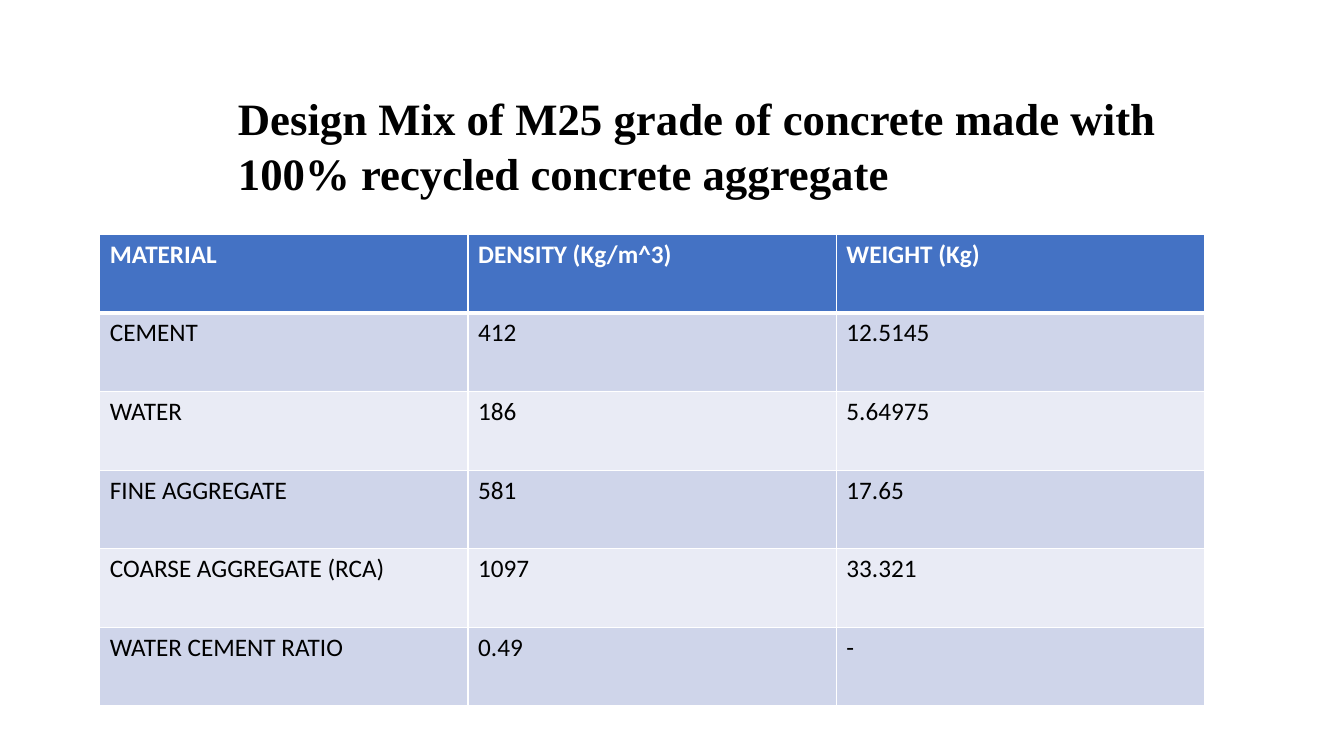
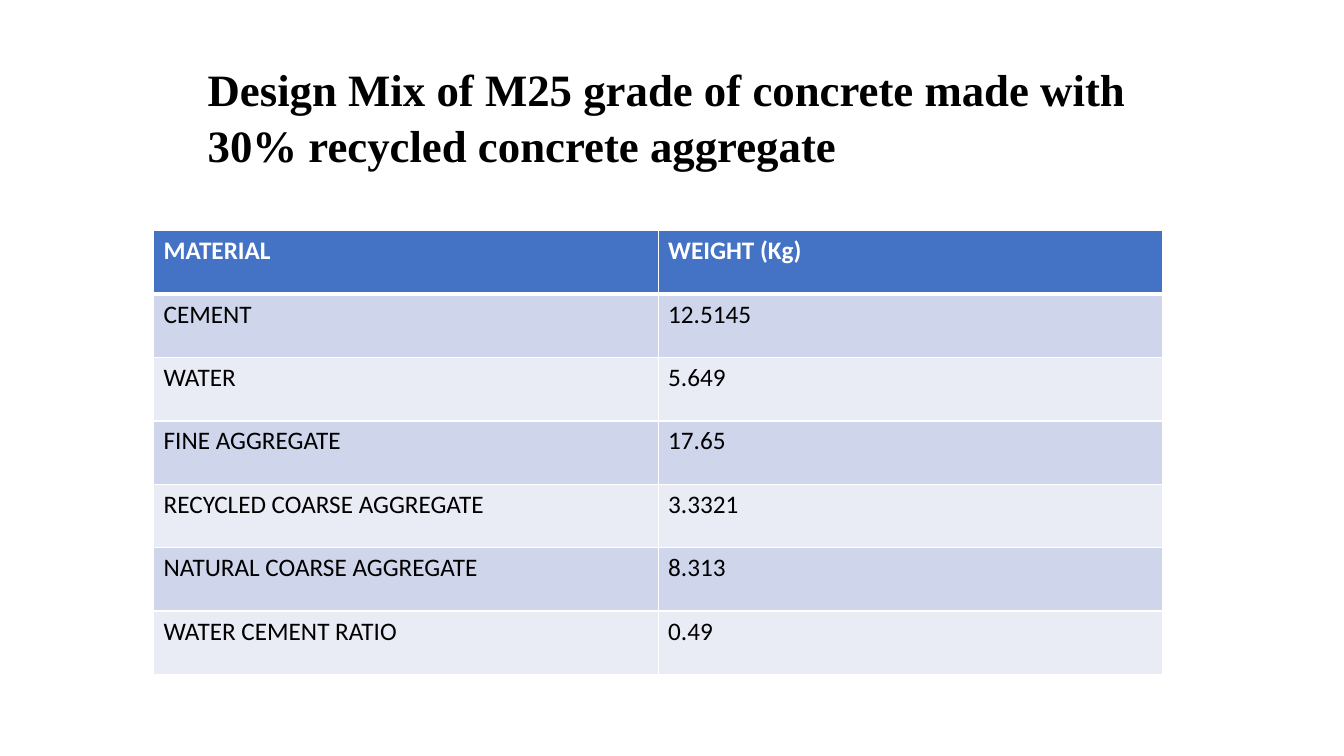
"""Build two slides that list concrete mix designs under a shared title style."""
from dataclasses import dataclass

import pptx
import pptx.dml.color
import pptx.enum.text
import pptx.oxml
import pptx.oxml.ns
import pptx.presentation
import pptx.slide
import pptx.table
import pptx.util

SLIDE_WIDTH = pptx.util.Inches(13.333)
SLIDE_HEIGHT = pptx.util.Inches(7.5)
BLANK_LAYOUT = 6
TITLE_WIDTH, TITLE_HEIGHT = 84.83, 15.73
TITLE_FONT, TABLE_FONT = "Times New Roman", "Calibri"
THIN_BORDER, THICK_BORDER = 1, 3
COLORS = {
    "text": "000000",
    "header": "4472C4",
    "header_text": "FFFFFF",
    "border": "FFFFFF",
    "odd_row": "CFD5EA",
    "even_row": "E9EBF5",
}


@dataclass(frozen=True)
class Area:
    """Hold a rectangle as percentages of the slide's width and height."""

    left: float
    top: float
    width: float
    height: float

    def lengths(self) -> tuple[int, int, int, int]:
        """Return left, top, width and height as slide lengths."""
        return (
            round(SLIDE_WIDTH * self.left / 100),
            round(SLIDE_HEIGHT * self.top / 100),
            round(SLIDE_WIDTH * self.width / 100),
            round(SLIDE_HEIGHT * self.height / 100),
        )


@dataclass(frozen=True)
class MixDesign:
    """Hold the title, the table rows and the placement of one slide."""

    share: str
    title_left: float
    title_top: float
    table_area: Area
    rows: tuple[tuple[str, ...], ...]


MIX_DESIGNS = (
    MixDesign(
        "100%", 13.65, 10.4, Area(7.43, 30.99, 82.2, 62.4),
        (
            ("MATERIAL", "DENSITY (Kg/m^3)", "WEIGHT (Kg)"),
            ("CEMENT", "412", "12.5145"),
            ("WATER", "186", "5.64975"),
            ("FINE AGGREGATE", "581", "17.65"),
            ("COARSE AGGREGATE (RCA)", "1097", "33.321"),
            ("WATER CEMENT RATIO", "0.49", "-"),
        ),
    ),
    MixDesign(
        "30%", 11.4, 6.67, Area(11.43, 30.53, 75.08, 58.7),
        (
            ("MATERIAL", "WEIGHT (Kg)"),
            ("CEMENT", "12.5145"),
            ("WATER", "5.649"),
            ("FINE AGGREGATE", "17.65"),
            ("RECYCLED COARSE AGGREGATE", "3.3321"),
            ("NATURAL COARSE AGGREGATE", "8.313"),
            ("WATER CEMENT RATIO", "0.49"),
        ),
    ),
)


def color(name: str) -> pptx.dml.color.RGBColor:
    """Return a named colour."""
    return pptx.dml.color.RGBColor.from_string(COLORS[name])


def format_runs(paragraph, font_name: str, size: int, color_name: str, bold: bool) -> None:
    """Apply one text style to every run of a paragraph."""
    for run in paragraph.runs:
        run.font.name = font_name
        run.font.size = pptx.util.Pt(size)
        run.font.bold = bold
        run.font.color.rgb = color(color_name)


def add_title(slide: pptx.slide.Slide, design: MixDesign) -> None:
    """Add the slide's title."""
    area = Area(design.title_left, design.title_top, TITLE_WIDTH, TITLE_HEIGHT)
    text_frame = slide.shapes.add_textbox(*area.lengths()).text_frame
    text_frame.word_wrap = True
    text_frame.auto_size = pptx.enum.text.MSO_AUTO_SIZE.SHAPE_TO_FIT_TEXT
    text_frame.margin_left = pptx.util.Inches(0.54)
    text_frame.margin_right = pptx.util.Inches(0.9)
    text_frame.margin_top = pptx.util.Inches(0.1)
    text_frame.text = (
        "Design Mix of M25 grade of concrete made with "
        f"{design.share} recycled concrete aggregate"
    )
    paragraph = text_frame.paragraphs[0]
    paragraph.line_spacing = 1.03
    format_runs(paragraph, TITLE_FONT, 32, "text", True)


def add_borders(cell: pptx.table._Cell, top: int, bottom: int) -> None:
    """Draw the four borders of a cell with the given top and bottom widths."""
    properties = cell._tc.get_or_add_tcPr()
    widths = {"lnL": THIN_BORDER, "lnR": THIN_BORDER, "lnT": top, "lnB": bottom}
    for tag, width in widths.items():
        properties.append(pptx.oxml.parse_xml(
            f'<a:{tag} {pptx.oxml.ns.nsdecls("a")} w="{pptx.util.Pt(width)}">'
            f'<a:solidFill><a:srgbClr val="{COLORS["border"]}"/></a:solidFill>'
            f'</a:{tag}>'
        ))


def add_mix_table(slide: pptx.slide.Slide, design: MixDesign) -> None:
    """Add the table of materials with a header and banded rows."""
    table = slide.shapes.add_table(
        len(design.rows), len(design.rows[0]), *design.table_area.lengths()
    ).table
    for row_index, row in enumerate(design.rows):
        is_header = row_index == 0
        band = "odd_row" if row_index % 2 else "even_row"
        for column_index, text in enumerate(row):
            cell = table.cell(row_index, column_index)
            cell.text_frame.text = text
            format_runs(
                cell.text_frame.paragraphs[0], TABLE_FONT, 18,
                "header_text" if is_header else "text", is_header,
            )
            add_borders(
                cell,
                THICK_BORDER if row_index == 1 else THIN_BORDER,
                THICK_BORDER if is_header else THIN_BORDER,
            )
            cell.fill.solid()
            cell.fill.fore_color.rgb = color("header" if is_header else band)


def add_mix_slide(presentation: pptx.presentation.Presentation, design: MixDesign) -> None:
    """Add one mix design slide."""
    slide = presentation.slides.add_slide(presentation.slide_layouts[BLANK_LAYOUT])
    add_title(slide, design)
    add_mix_table(slide, design)


def main() -> None:
    """Build and save the presentation."""
    presentation = pptx.Presentation()
    presentation.slide_width = SLIDE_WIDTH
    presentation.slide_height = SLIDE_HEIGHT
    for design in MIX_DESIGNS:
        add_mix_slide(presentation, design)
    presentation.save("out.pptx")


if __name__ == "__main__":
    main()
